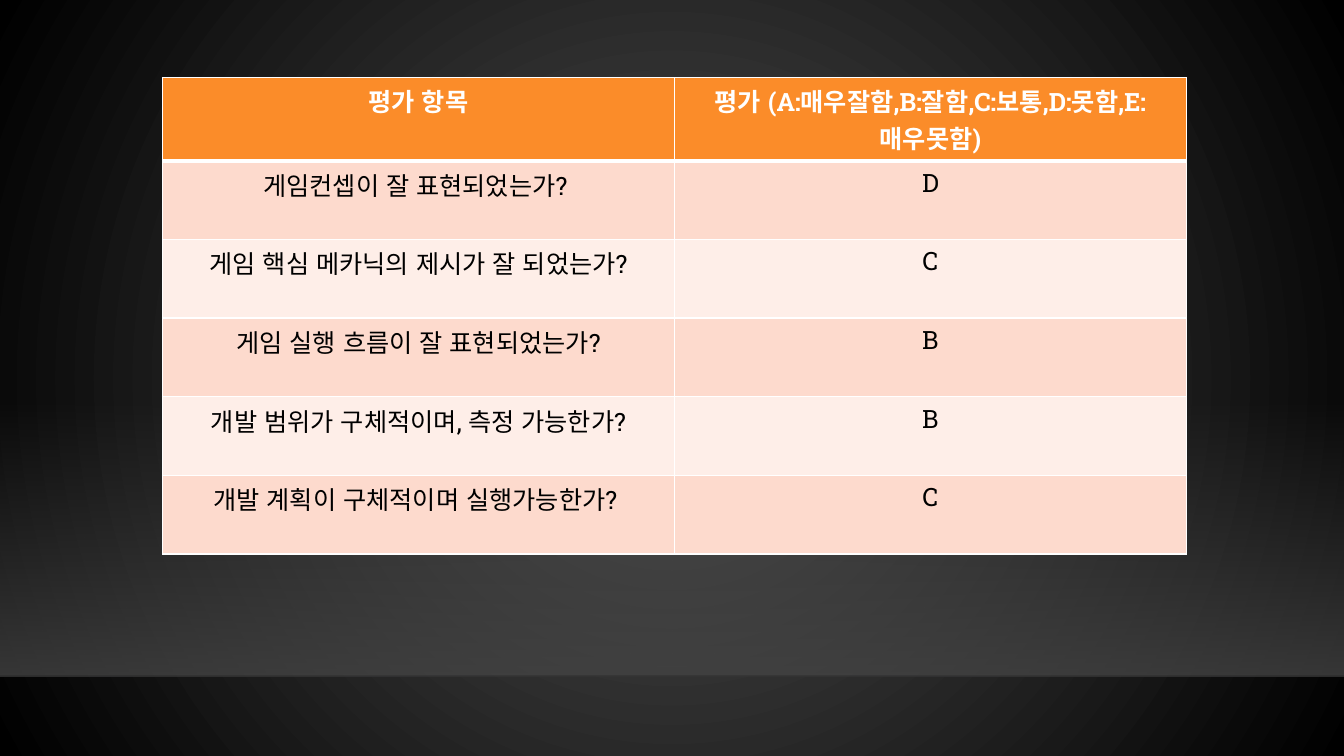
from dataclasses import dataclass

from pptx import Presentation
from pptx.dml.color import RGBColor
from pptx.enum import lang, shapes, text
from pptx.oxml import parse_xml
from pptx.oxml.ns import nsdecls, qn
from pptx.util import Pt


@dataclass(frozen=True)
class Theme:
    font: str = "Roboto Slab"
    size: float = 18
    white: str = "FFFFFF"
    ink: str = "000000"
    head: str = "FB8C29"
    odd: str = "FDDACD"
    even: str = "FEEEE8"
    glow: str = "505050"
    floor: str = "454545"
    edge: str = "000001"


THEME = Theme()
WIDE, HIGH = 960, 540
FLOOR = 483  # where the backdrop meets the floor

ROWS = [
    ("평가 항목", "평가 (A:매우잘함,B:잘함,C:보통,D:못함,E:매우못함)"),
    ("게임컨셉이 잘 표현되었는가? ", "D"),
    ("게임 핵심 메카닉의 제시가 잘 되었는가?", "C"),
    ("게임 실행 흐름이 잘 표현되었는가?", "B"),
    ("개발 범위가 구체적이며, 측정 가능한가?", "B"),
    ("개발 계획이 구체적이며 실행가능한가? ", "C"),
]


def rgb(code):
    return RGBColor.from_string(code)


def blend(node, stops, shade):
    """Refill a gradient with (place, colour, opacity) stops."""
    for child in list(node):
        node.remove(child)
    marks = "".join(
        f'<a:gs pos="{at * 1000}"><a:srgbClr val="{code}">'
        f'<a:alpha val="{alpha * 1000}"/></a:srgbClr></a:gs>'
        for at, code, alpha in stops)
    node.append(parse_xml(f'<a:gsLst {nsdecls("a")}>{marks}</a:gsLst>'))
    node.append(parse_xml(shade))


def add_back(slide):
    slide.background.fill.gradient()
    node = slide.element.find(".//" + qn("a:gradFill"))
    blend(node, [(0, THEME.glow, 100), (100, THEME.ink, 100)],
          f'<a:path {nsdecls("a")} path="circle"><a:fillToRect l="50000" '
          't="50000" r="50000" b="50000"/></a:path>')


def add_haze(slide, top):
    haze = slide.shapes.add_shape(shapes.MSO_SHAPE.RECTANGLE, 0, Pt(top),
                                  Pt(WIDE), Pt(FLOOR - top))
    haze.shadow.inherit = False
    haze.line.fill.background()
    haze.fill.gradient()
    blend(haze.element.find(".//" + qn("a:gradFill")),
          [(0, THEME.floor, 0), (100, THEME.floor, 80)],
          f'<a:lin {nsdecls("a")} ang="5400000" scaled="0"/>')


def add_edge(slide):
    edge = slide.shapes.add_connector(shapes.MSO_CONNECTOR.STRAIGHT,
                                      0, Pt(FLOOR), Pt(WIDE), Pt(FLOOR))
    edge.line.width = Pt(1)
    edge.line.color.rgb = rgb(THEME.edge)
    edge.element.find(".//" + qn("a:srgbClr")).append(
        parse_xml(f'<a:alpha {nsdecls("a")} val="20000"/>'))
    edge.element.spPr.append(parse_xml(f'<a:effectLst {nsdecls("a")}/>'))


def add_rules(cell, row):
    """Draw thin cell borders, with a thick one under the header."""
    props = cell._tc.get_or_add_tcPr()
    wide = {"T": 3 if row == 1 else 1, "B": 3 if row == 0 else 1}
    for spot, side in enumerate("LRTB"):
        props.insert(spot, parse_xml(
            f'<a:ln{side} {nsdecls("a")} w="{Pt(wide.get(side, 1))}">'
            f'<a:solidFill><a:srgbClr val="{THEME.white}"/></a:solidFill>'
            f'</a:ln{side}>'))


def fill_cell(cell, words, row):
    head = row == 0
    band = THEME.odd if row % 2 else THEME.even
    cell.fill.solid()
    cell.fill.fore_color.rgb = rgb(THEME.head if head else band)
    para = cell.text_frame.paragraphs[0]
    para.alignment = text.PP_ALIGN.CENTER
    run = para.add_run()
    run.text = words
    font = run.font
    font.name, font.size, font.bold = THEME.font, Pt(THEME.size), head
    font.color.rgb = rgb(THEME.white if head else THEME.ink)
    font.language_id = lang.MSO_LANGUAGE_ID.KOREAN
    add_rules(cell, row)


def add_grid(slide, left, top, width, first, rest):
    high = first + rest * (len(ROWS) - 1)
    frame = slide.shapes.add_table(len(ROWS), 2, Pt(left), Pt(top),
                                   Pt(width), Pt(high))
    grid = frame.table
    for row, line in enumerate(ROWS):
        grid.rows[row].height = Pt(rest if row else first)
        for col, words in enumerate(line):
            fill_cell(grid.cell(row, col), words, row)


def main():
    deck = Presentation()
    deck.slide_width, deck.slide_height = Pt(WIDE), Pt(HIGH)
    slide = deck.slides.add_slide(deck.slide_layouts[6])
    # Backdrop
    add_back(slide)
    add_haze(slide, 285)
    add_edge(slide)
    # Rating table
    add_grid(slide, left=116, top=55.5, width=731.5, first=37.5, rest=56.2)
    deck.save("out.pptx")


if __name__ == "__main__":
    main()
